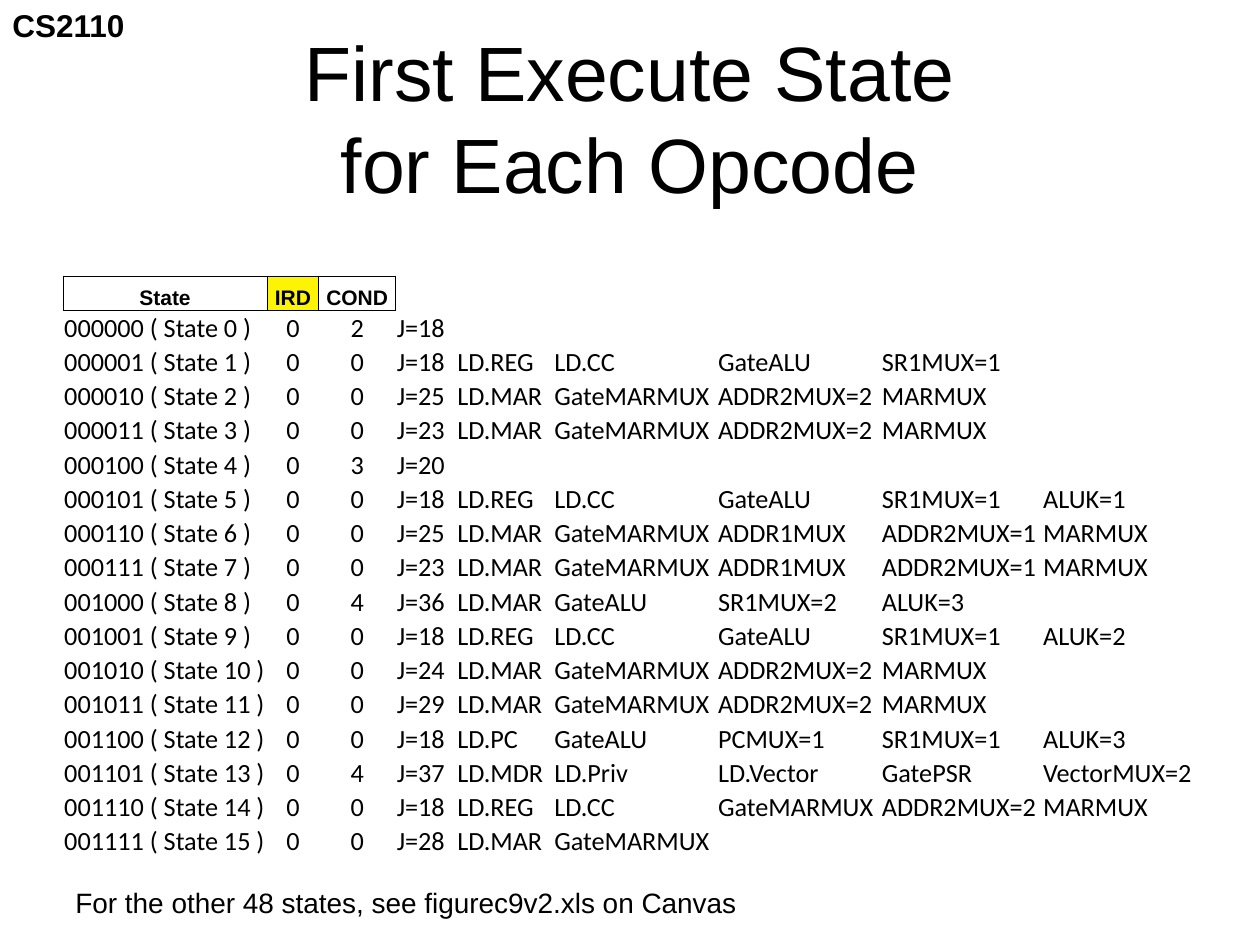
import pptx
import pptx.dml.color
import pptx.enum.text
import pptx.oxml
import pptx.oxml.ns
import pptx.util
from pptx.util import Inches

BLACK = "000000"
YELLOW = "FCF305"
PLAIN_TABLE_STYLE = "{2D5ABB26-0587-4C30-8999-92F81FD0307C}"
LEFT = pptx.enum.text.PP_ALIGN.LEFT
CENTER = pptx.enum.text.PP_ALIGN.CENTER
TOP = pptx.enum.text.MSO_ANCHOR.TOP
MIDDLE = pptx.enum.text.MSO_ANCHOR.MIDDLE

COLUMN_WIDTHS = [1.62, 0.41, 0.61, 0.48, 0.77, 1.3, 1.3, 1.28, 1.23]
TABLE_HEIGHT = 4.62
HEADERS = ["State", "IRD", "COND"]
CONTROL_SIGNALS = [
    "0 2 J=18",
    "0 0 J=18 LD.REG LD.CC GateALU SR1MUX=1",
    "0 0 J=25 LD.MAR GateMARMUX ADDR2MUX=2 MARMUX",
    "0 0 J=23 LD.MAR GateMARMUX ADDR2MUX=2 MARMUX",
    "0 3 J=20",
    "0 0 J=18 LD.REG LD.CC GateALU SR1MUX=1 ALUK=1",
    "0 0 J=25 LD.MAR GateMARMUX ADDR1MUX ADDR2MUX=1 MARMUX",
    "0 0 J=23 LD.MAR GateMARMUX ADDR1MUX ADDR2MUX=1 MARMUX",
    "0 4 J=36 LD.MAR GateALU SR1MUX=2 ALUK=3",
    "0 0 J=18 LD.REG LD.CC GateALU SR1MUX=1 ALUK=2",
    "0 0 J=24 LD.MAR GateMARMUX ADDR2MUX=2 MARMUX",
    "0 0 J=29 LD.MAR GateMARMUX ADDR2MUX=2 MARMUX",
    "0 0 J=18 LD.PC GateALU PCMUX=1 SR1MUX=1 ALUK=3",
    "0 4 J=37 LD.MDR LD.Priv LD.Vector GatePSR VectorMUX=2",
    "0 0 J=18 LD.REG LD.CC GateMARMUX ADDR2MUX=2 MARMUX",
    "0 0 J=28 LD.MAR GateMARMUX",
]


def color(value):
    """Turn a hex string into a colour."""
    return pptx.dml.color.RGBColor.from_string(value)


def format_text(frame, size, font, bold=False, align=LEFT):
    """Format every run in a text frame."""
    for para in frame.paragraphs:
        para.alignment = align
        for span in para.runs:
            span.font.size = pptx.util.Pt(size)
            span.font.name = font
            span.font.bold = bold
            span.font.color.rgb = color(BLACK)


def add_text(slide, text, left, top, width, height, size, bold=False,
             align=LEFT, anchor=TOP, wrap=True):
    """Add an Arial text box."""
    box = slide.shapes.add_textbox(Inches(left), Inches(top), Inches(width), Inches(height))
    frame = box.text_frame
    frame.word_wrap = wrap
    frame.vertical_anchor = anchor
    frame.text = text
    format_text(frame, size, "Arial", bold, align)


def set_borders(cell, sides):
    """Draw thin black lines on the named sides of a cell and none on the others."""
    properties = cell._tc.get_or_add_tcPr()
    for position, side in enumerate("LRTB"):
        paint = (f'<a:solidFill><a:srgbClr val="{BLACK}"/></a:solidFill>'
                 if side in sides else '<a:noFill/>')
        line = pptx.oxml.parse_xml(
            f'<a:ln{side} {pptx.oxml.ns.nsdecls("a")} w="6350">{paint}</a:ln{side}>')
        properties.insert(position, line)


def fill_cell(cell, text, size, font, bold, align):
    """Write one table cell with tight margins and bottom-aligned text."""
    cell.margin_left = cell.margin_right = cell.margin_top = Inches(0.01)
    cell.margin_bottom = 0
    cell.vertical_anchor = pptx.enum.text.MSO_ANCHOR.BOTTOM
    cell.fill.background()
    if text:
        cell.text_frame.text = text
        format_text(cell.text_frame, size, font, bold, align)
    else:
        end = pptx.oxml.parse_xml(
            f'<a:endParaRPr {pptx.oxml.ns.nsdecls("a")} sz="{size * 100}"/>')
        cell.text_frame.paragraphs[0]._p.append(end)


def add_state_table(slide):
    """Add the table of control signals, one row for each state."""
    rows = [HEADERS] + [[f"{state:06b} ( State {state} )"] + signals.split()
                        for state, signals in enumerate(CONTROL_SIGNALS)]
    frame = slide.shapes.add_table(len(rows), len(COLUMN_WIDTHS), Inches(0.5), Inches(2.19),
                                   Inches(sum(COLUMN_WIDTHS)), Inches(TABLE_HEIGHT))
    table = frame.table
    table.first_row = table.horz_banding = False
    table._tbl.tblPr.find(pptx.oxml.ns.qn("a:tableStyleId")).text = PLAIN_TABLE_STYLE
    for column, width in zip(table.columns, COLUMN_WIDTHS):
        column.width = Inches(width)
    for row_index, values in enumerate(rows):
        is_header = row_index == 0
        size, font = (12, "Arial") if is_header else (15, "Calibri")
        for column_index in range(len(COLUMN_WIDTHS)):
            text = values[column_index] if column_index < len(values) else ""
            centered = is_header or column_index in (1, 2)
            fill_cell(table.cell(row_index, column_index), text, size, font, is_header,
                      CENTER if centered else LEFT)
    for column_index in range(len(HEADERS)):
        set_borders(table.cell(0, column_index), "LRTB")
        set_borders(table.cell(1, column_index), "T")
    set_borders(table.cell(0, len(HEADERS)), "L")
    highlight = table.cell(0, HEADERS.index("IRD")).fill
    highlight.solid()
    highlight.fore_color.rgb = color(YELLOW)


def main():
    """Build and save the slide."""
    deck = pptx.Presentation()
    deck.slide_width, deck.slide_height = Inches(10), Inches(7.5)
    slide = deck.slides.add_slide(deck.slide_layouts[6])
    add_text(slide, "CS2110", 0, 0, 1.1, 0.4, 18, bold=True, wrap=False)
    add_text(slide, "First Execute State\vfor Each Opcode", 0.5, 0.3, 9, 1.25, 44,
             align=CENTER, anchor=MIDDLE)
    add_state_table(slide)
    add_text(slide, "For the other 48 states, see figurec9v2.xls on Canvas",
             0.5, 6.98, 7.45, 0.37, 16)
    deck.save("out.pptx")


if __name__ == "__main__":
    main()
